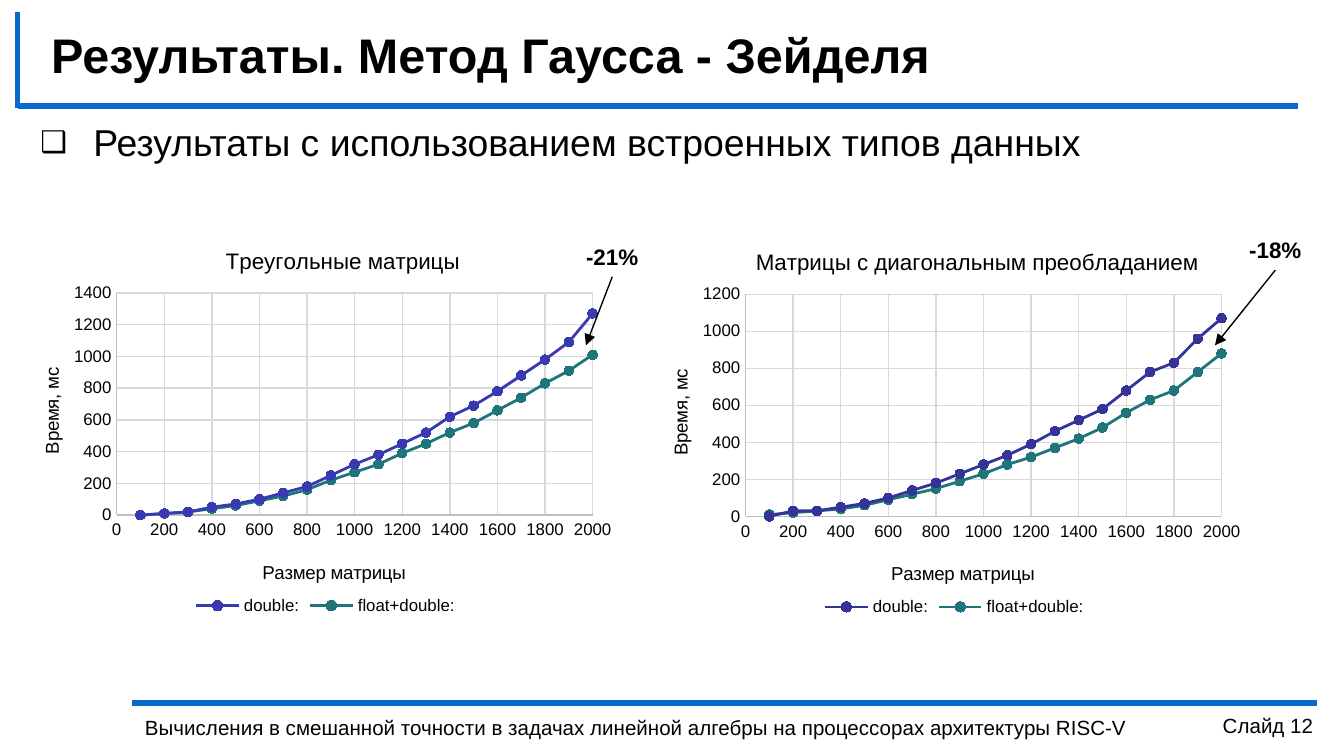
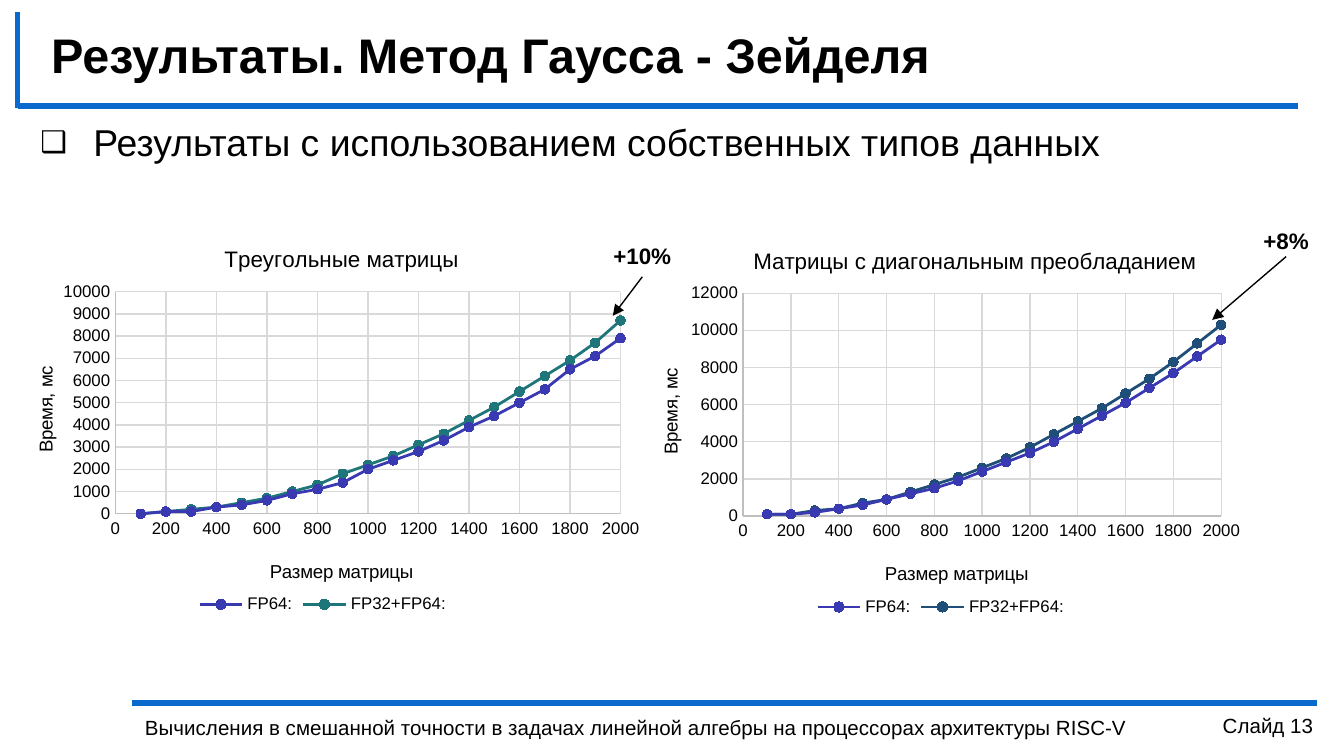
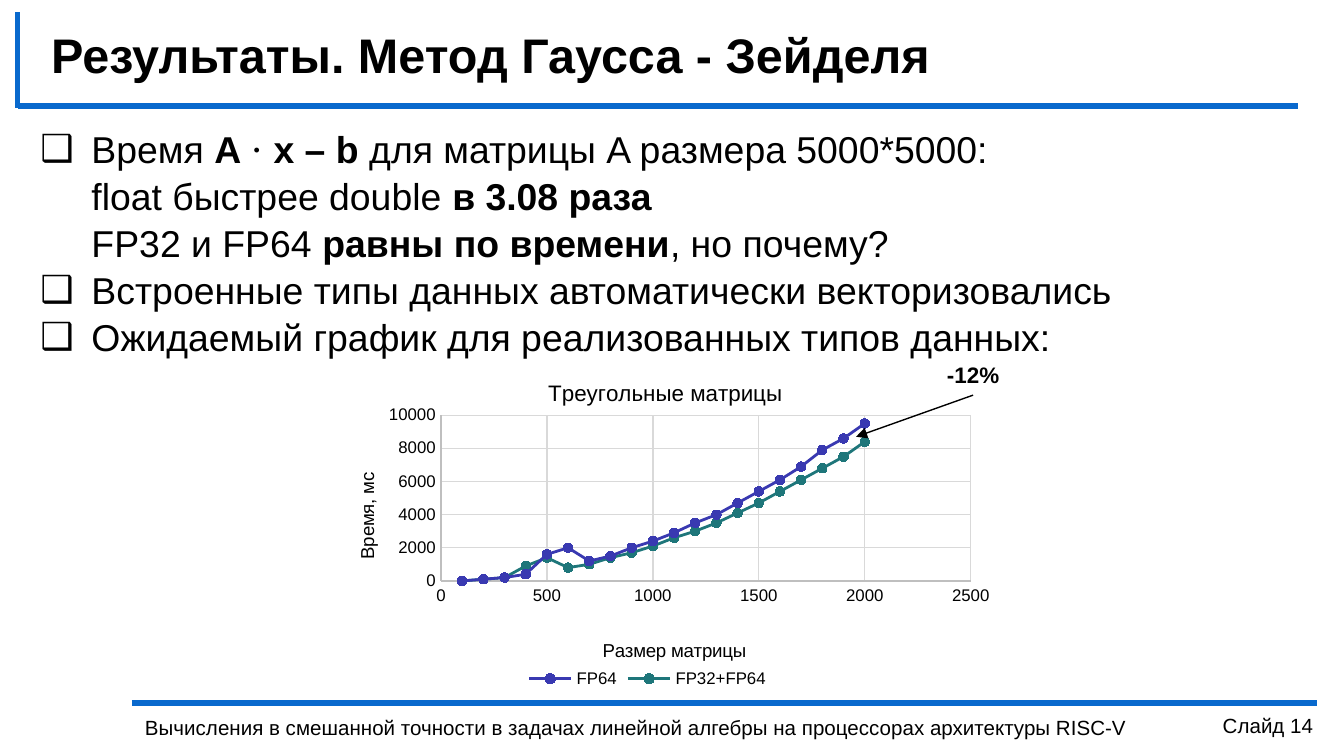
import dataclasses

import pptx
import pptx.chart.data
import pptx.dml.color
import pptx.enum.chart
import pptx.enum.shapes
import pptx.enum.text
import pptx.oxml
import pptx.oxml.ns
import pptx.util

Pt = pptx.util.Pt
qn = pptx.oxml.ns.qn
ALIGN = pptx.enum.text.PP_ALIGN


@dataclasses.dataclass(frozen=True)
class Theme:
    font: str = "Arial"
    symbol_font: str = "Times New Roman"
    text: str = "000000"
    band: str = "0969CD"
    axis: str = "BFBFBF"
    grid: str = "D9D9D9"
    violet: str = "3939B1"
    indigo: str = "333399"
    teal: str = "1E767A"
    navy: str = "1F4E79"
    title_size: int = 26
    body_size: int = 20
    label_size: int = 12
    footer_size: int = 11
    axis_title_size: int = 10
    tick_size: int = 9


THEME = Theme()

TITLE = "Результаты. Метод Гаусса - Зейделя"
FOOTER = ("Вычисления в смешанной точности в задачах линейной алгебры "
          "на процессорах архитектуры RISC-V")
TRIANGULAR = "Треугольные матрицы"
DOMINANT = "Матрицы с диагональным преобладанием"
MATRIX_SIZES = range(100, 2001, 100)
BAND_LINES = [(9.4, 56.9, 695.5, 56.9), (9.4, 6.5, 9.4, 57.6), (70.6, 376.6, 705.6, 376.6)]
PLOT_AREA = (0.18, 0.17, 0.77, 0.53)


@dataclasses.dataclass
class ScatterChart:
    """Each series is (name, colour, values); plot holds fractions of the chart box."""
    title: str
    box: tuple
    series: list
    value_max: int
    value_step: int
    title_left: float
    title_top: float = 0.05
    size_max: int = 2000
    size_step: int = 200
    plot: tuple = PLOT_AREA


def rgb(color):
    return pptx.dml.color.RGBColor.from_string(color)


def points(*lengths):
    return [Pt(length) for length in lengths]


def format_font(font, size, bold=False, name=THEME.font):
    font.name = name
    font.size = Pt(size)
    font.bold = bold
    font.color.rgb = rgb(THEME.text)


def write_text(paragraph, text, size=THEME.body_size, bold=False,
               font=THEME.font, align=None):
    """Append text to the paragraph; a newline becomes a line break."""
    if align is not None:
        paragraph.alignment = align
    for index, line in enumerate(text.split("\n")):
        if index:
            paragraph.add_line_break()
        if line:
            run = paragraph.add_run()
            run.text = line
            format_font(run.font, size, bold, font)


def add_text_box(slide, box, text, **text_format):
    shape = slide.shapes.add_textbox(*points(*box))
    shape.text_frame.word_wrap = True
    write_text(shape.text_frame.paragraphs[0], text, **text_format)
    return shape


def add_line(slide, start_x, start_y, end_x, end_y, color, width):
    connector = slide.shapes.add_connector(
        pptx.enum.shapes.MSO_CONNECTOR.STRAIGHT, *points(start_x, start_y, end_x, end_y))
    connector.line.color.rgb = rgb(color)
    connector.line.width = Pt(width)
    properties = connector.element.spPr
    properties.append(properties.makeelement(qn("a:effectLst"), {}))
    return connector


def add_callout(slide, text, box, tip):
    """Place a bold label with an arrow from its bottom edge to the tip."""
    label = add_text_box(slide, box, text, size=THEME.label_size, bold=True,
                         align=ALIGN.CENTER)
    left, top, width, height = box
    arrow = add_line(slide, left + width / 2, top + height, *tip, THEME.text, 0.75)
    arrow.begin_connect(label, 2)
    outline = arrow.element.spPr.find(qn("a:ln"))
    outline.append(outline.makeelement(qn("a:tailEnd"), {"type": "triangle"}))


def add_bands_to_layout(slide):
    """Draw the shared lines and move them to the layout of the slide."""
    for ends in BAND_LINES:
        band = add_line(slide, *ends, THEME.band, 3)
        slide.slide_layout.shapes.element.append(band.element)


def place(shape, box):
    shape.left, shape.top, shape.width, shape.height = points(*box)


def add_bullet(paragraph, indent, percent):
    properties = paragraph._p.get_or_add_pPr()
    properties.set("marL", str(Pt(indent)))
    properties.set("indent", str(-Pt(indent)))
    for tag, attributes in [("a:buSzPct", {"val": str(percent * 1000)}),
                            ("a:buFont", {"typeface": THEME.font}),
                            ("a:buChar", {"char": "❑"})]:
        properties.append(properties.makeelement(qn(tag), attributes))


def fill_body(slide, box, items, indent, bullet_percent=100, line_spacing=1.0):
    """Fill the list; each item is a list of (text, format) pieces."""
    body = slide.placeholders[1]
    place(body, box)
    frame = body.text_frame
    frame.auto_size = pptx.enum.text.MSO_AUTO_SIZE.NONE
    for index, pieces in enumerate(items):
        paragraph = frame.add_paragraph() if index else frame.paragraphs[0]
        paragraph.space_before = Pt(0)
        paragraph.line_spacing = line_spacing
        add_bullet(paragraph, indent, bullet_percent)
        for text, text_format in pieces:
            write_text(paragraph, text, **text_format)


def add_result_slide(presentation, number):
    slide = presentation.slides.add_slide(presentation.slide_layouts[1])
    title = slide.shapes.title
    place(title, (20.2, 12.2, 688.3, 33.1))
    title.text_frame.auto_size = pptx.enum.text.MSO_AUTO_SIZE.NONE
    title.text_frame.vertical_anchor = pptx.enum.text.MSO_ANCHOR.MIDDLE
    write_text(title.text_frame.paragraphs[0], TITLE, size=THEME.title_size,
               bold=True, align=ALIGN.LEFT)
    add_text_box(slide, (620.6, 378.7, 90, 26.6), f"Слайд {number}",
                 size=THEME.footer_size, align=ALIGN.RIGHT)
    add_text_box(slide, (70.6, 379.4, 607, 26.6), FOOTER, size=THEME.footer_size)
    return slide


def set_layout(element, x, y, width=None, height=None):
    """Fix a chart part at fractions of the chart box."""
    layout = element.find(qn("c:layout"))
    if layout is None:
        layout = element.makeelement(qn("c:layout"), {})
        overlay = element.find(qn("c:overlay"))
        element.insert(0 if overlay is None else element.index(overlay), layout)
    manual = layout.makeelement(qn("c:manualLayout"), {})
    layout.append(manual)
    values = [("xMode", "edge"), ("yMode", "edge"), ("x", x), ("y", y)]
    if width is not None:
        values = [("layoutTarget", "inner"), *values, ("w", width), ("h", height)]
    for tag, value in values:
        manual.append(manual.makeelement(qn(f"c:{tag}"), {"val": str(value)}))


def write_chart_title(title, text, size, x, y):
    write_text(title.text_frame.paragraphs[0], text, size=size)
    set_layout(title.element, x, y)


def format_axis(axis, title, maximum, step, x, y):
    axis.minimum_scale = 0
    axis.maximum_scale = maximum
    axis.major_unit = step
    axis.major_tick_mark = axis.minor_tick_mark = pptx.enum.chart.XL_TICK_MARK.NONE
    axis.has_major_gridlines = True
    for line, color in [(axis.format.line, THEME.axis),
                        (axis.major_gridlines.format.line, THEME.grid)]:
        line.color.rgb = rgb(color)
        line.width = Pt(0.75)
    format_font(axis.tick_labels.font, THEME.tick_size)
    write_chart_title(axis.axis_title, title, THEME.axis_title_size, x, y)


def format_series(series, color):
    series.smooth = False
    series.format.line.color.rgb = rgb(color)
    series.format.line.width = Pt(1.5)
    marker = series.marker
    marker.style = pptx.enum.chart.XL_MARKER_STYLE.CIRCLE
    marker.size = 5
    marker.format.fill.solid()
    marker.format.fill.fore_color.rgb = rgb(color)
    marker.format.line.color.rgb = rgb(color)


def add_scatter_chart(slide, scatter):
    data = pptx.chart.data.XyChartData()
    for name, _, values in scatter.series:
        series = data.add_series(name)
        for matrix_size, time in zip(MATRIX_SIZES, values):
            series.add_data_point(matrix_size, time)
    chart = slide.shapes.add_chart(pptx.enum.chart.XL_CHART_TYPE.XY_SCATTER_LINES,
                                   *points(*scatter.box), data).chart
    format_font(chart.font, THEME.axis_title_size)
    chart.has_title = True
    write_chart_title(chart.chart_title, scatter.title, THEME.label_size,
                      scatter.title_left, scatter.title_top)
    format_axis(chart.category_axis, "Размер матрицы",
                scatter.size_max, scatter.size_step, 0.41, 0.8)
    format_axis(chart.value_axis, "Время, мс",
                scatter.value_max, scatter.value_step, 0.05, 0.34)
    chart.value_axis.axis_title.element.find(".//" + qn("a:bodyPr")).set("rot", "-5400000")
    chart.has_legend = True
    chart.legend.position = pptx.enum.chart.XL_LEGEND_POSITION.BOTTOM
    chart.legend.include_in_layout = False
    format_font(chart.legend.font, THEME.tick_size)
    set_layout(chart.element.find(".//" + qn("c:legend")), 0.3, 0.88)
    set_layout(chart.element.find(".//" + qn("c:plotArea")), *scatter.plot)
    plot = chart.plots[0]
    plot.vary_by_categories = False
    for series, (_, color, _) in zip(plot.series, scatter.series):
        format_series(series, color)


def add_comparison_slide(presentation, number, statement, charts, callouts):
    slide = add_result_slide(presentation, number)
    fill_body(slide, (14.4, 60.5, 690.5, 46.8), [[(statement, {})]],
              indent=28.4, bullet_percent=80)
    for scatter in charts:
        add_scatter_chart(slide, scatter)
    for callout in callouts:
        add_callout(slide, *callout)
    return slide


def add_builtin_types_slide(presentation):
    triangular = ScatterChart(
        TRIANGULAR, (2.9, 118.8, 331.2, 224.6),
        [("double:", THEME.violet,
          [0, 10, 20, 50, 70, 100, 140, 180, 250, 320,
           380, 450, 520, 620, 690, 780, 880, 980, 1090, 1270]),
         ("float+double:", THEME.teal,
          [0, 10, 20, 40, 60, 90, 120, 160, 220, 270,
           320, 390, 450, 520, 580, 660, 740, 830, 910, 1010])],
        value_max=1400, value_step=200, title_left=0.35)
    dominant = ScatterChart(
        DOMINANT, (339.8, 119.5, 331.2, 224.6),
        [("double:", THEME.indigo,
          [0, 30, 30, 50, 70, 100, 140, 180, 230, 280,
           330, 390, 460, 520, 580, 680, 780, 830, 960, 1070]),
         ("float+double:", THEME.teal,
          [10, 20, 30, 40, 60, 90, 120, 150, 190, 230,
           280, 320, 370, 420, 480, 560, 630, 680, 780, 880])],
        value_max=1200, value_step=200, title_left=0.19)
    return add_comparison_slide(
        presentation, 12, "Результаты с использованием встроенных типов данных",
        [triangular, dominant],
        [("-21%", (301.7, 126.7, 52.6, 21.6), (313.9, 185)),
         ("-18%", (656.6, 123.1, 53.3, 21.6), (650.9, 185))])


def add_custom_types_slide(presentation):
    dominant = ScatterChart(
        DOMINANT, (334.1, 118.8, 337, 225.4),
        [("FP64:", THEME.violet,
          [100, 100, 200, 400, 600, 900, 1200, 1500, 1900, 2400,
           2900, 3400, 4000, 4700, 5400, 6100, 6900, 7700, 8600, 9500]),
         ("FP32+FP64:", THEME.navy,
          [100, 100, 300, 400, 700, 900, 1300, 1700, 2100, 2600,
           3100, 3700, 4400, 5100, 5800, 6600, 7400, 8300, 9300, 10300])],
        value_max=12000, value_step=2000, title_left=0.2, plot=(0.19, 0.17, 0.76, 0.53))
    triangular = ScatterChart(
        TRIANGULAR, (-1.4, 118.1, 351.4, 224.6),
        [("FP64:", THEME.violet,
          [0, 100, 100, 300, 400, 600, 900, 1100, 1400, 2000,
           2400, 2800, 3300, 3900, 4400, 5000, 5600, 6500, 7100, 7900]),
         ("FP32+FP64:", THEME.teal,
          [0, 100, 200, 300, 500, 700, 1000, 1300, 1800, 2200,
           2600, 3100, 3600, 4200, 4800, 5500, 6200, 6900, 7700, 8700])],
        value_max=10000, value_step=1000, title_left=0.34)
    add_comparison_slide(
        presentation, 13, "Результаты с использованием собственных типов данных",
        [dominant, triangular],
        [("+10%", (318.2, 126, 51.8, 22.3), (328.3, 169.2)),
         ("+8%", (663.1, 118.1, 51.8, 19.4), (649.4, 171.4))])


def add_expectation_slide(presentation):
    slide = add_result_slide(presentation, 14)
    bold = {"bold": True}
    items = [
        [("Время ", {}), ("A ", bold), ("⋅", {"font": THEME.symbol_font}),
         (" x – b ", bold),
         ("для матрицы A размера 5000*5000:\nfloat быстрее double ", {}),
         ("в 3.08 раза\n", bold), ("FP32 и FP64 ", {}),
         ("равны по времени", bold), (", но почему?", {})],
        [("Встроенные типы данных автоматически векторизовались", {})],
        [("Ожидаемый график для реализованных типов данных:", {})],
    ]
    fill_body(slide, (14.4, 62.6, 680.4, 152.6), items, indent=27.4, line_spacing=1.05)
    add_scatter_chart(slide, ScatterChart(
        TRIANGULAR, (169.9, 185.8, 368.6, 193),
        [("FP64", THEME.violet,
          [0, 100, 200, 400, 1600, 2000, 1200, 1500, 2000, 2400,
           2900, 3500, 4000, 4700, 5400, 6100, 6900, 7900, 8600, 9500]),
         ("FP32+FP64", THEME.teal,
          [0, 100, 200, 900, 1400, 800, 1000, 1400, 1700, 2100,
           2600, 3000, 3500, 4100, 4700, 5400, 6100, 6800, 7500, 8400])],
        value_max=10000, value_step=2000, title_left=0.33, title_top=0.08,
        size_max=2500, size_step=500, plot=(0.18, 0.19, 0.77, 0.46)))
    add_callout(slide, "-12%", (468, 190.1, 106.6, 21.6), (458.6, 234))


def main():
    presentation = pptx.Presentation()
    presentation.slide_width, presentation.slide_height = points(720, 405)
    first_slide = add_builtin_types_slide(presentation)
    add_bands_to_layout(first_slide)
    add_custom_types_slide(presentation)
    add_expectation_slide(presentation)
    presentation.save("out.pptx")


if __name__ == "__main__":
    main()
